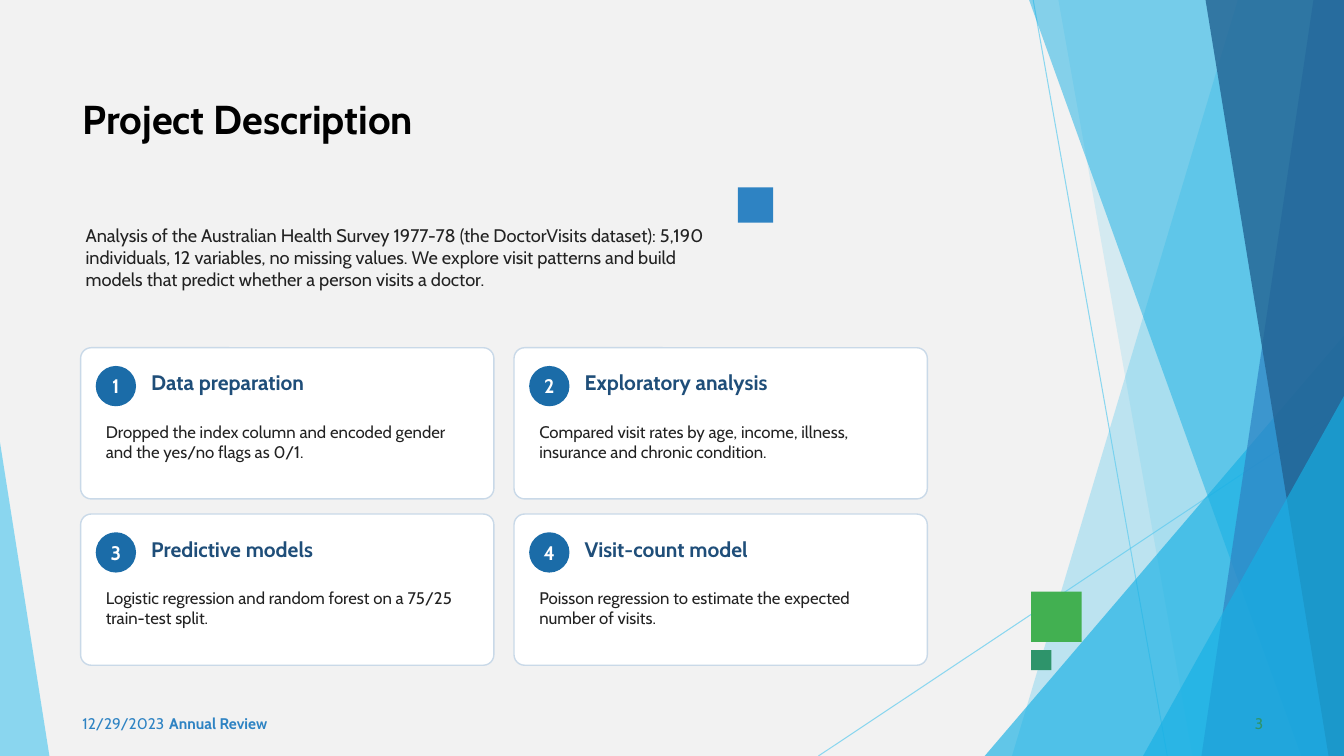
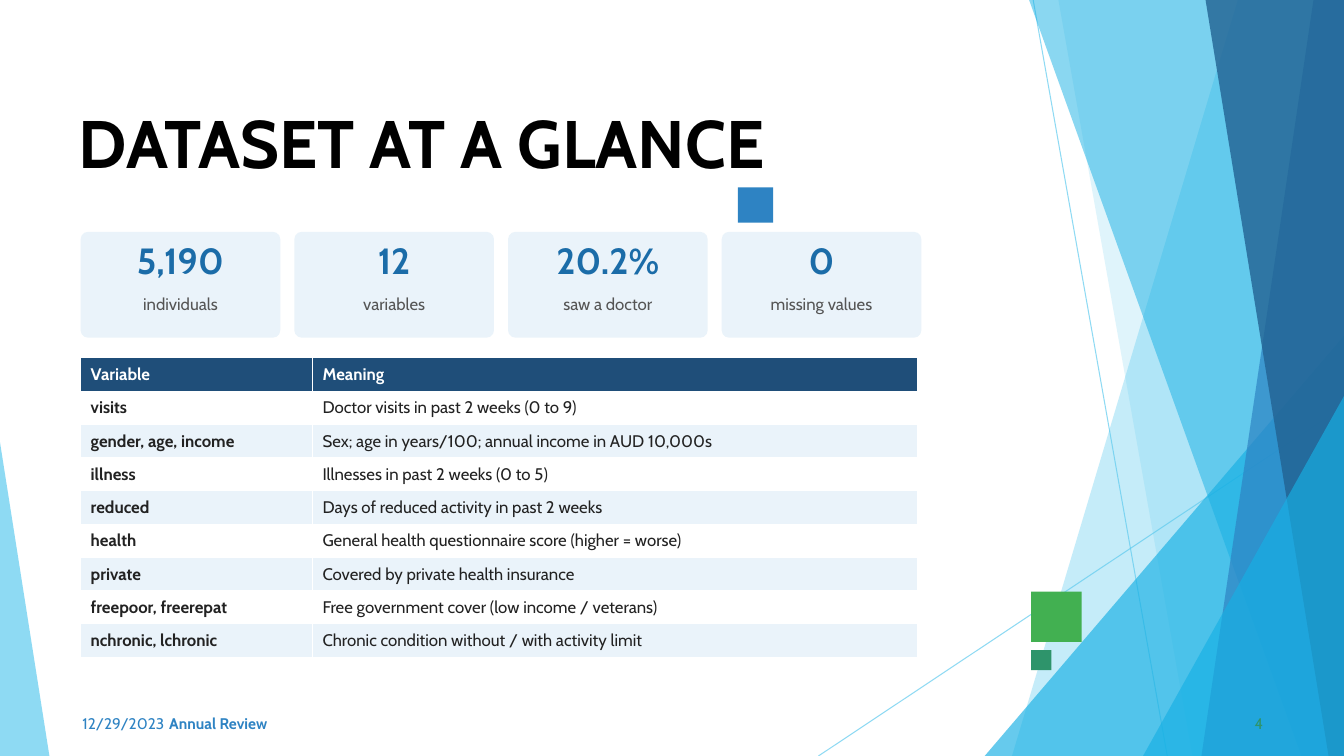
from pptx import Presentation
from pptx.dml.color import RGBColor
from pptx.enum.shapes import MSO_CONNECTOR, MSO_SHAPE
from pptx.enum.text import MSO_ANCHOR, MSO_AUTO_SIZE, PP_ALIGN
from pptx.oxml.ns import qn
from pptx.util import Pt

W, H = 960, 540
FONT = "Cabin"
SKY, CYAN, BLUE, DEEP = "5FCBEF", "17B0E4", "2E83C3", "226292"
GREEN, TEAL = "42B051", "2E946B"
NAVY, ACCENT, PALE, EDGE = "1F4E79", "1B6CA8", "EAF3FA", "C9D9E8"
WHITE, BLACK, INK, GREY = "FFFFFF", "000000", "222222", "555555"
TIGHT = (3.6, 2.16)
LEFT = 57.6

# x1, y1, x2, y2
RAYS = [(738, 0, 833.8, H), (W, 290.2, 584.6, H)]
# Bands run from the top edge to the bottom edge; peaks rise to the right edge.
FACETS = [
    ("band", 884.2, 722.9, SKY, 36),
    ("band", 756, 851.8, SKY, 20),
    ("peak", 703.4, 239.8, CYAN, 66),
    ("band", 735.1, 929.5, CYAN, 50),
    ("band", 938.2, 858.2, BLUE, 70),
    ("band", 861.1, 949, DEEP, 80),
    ("peak", 816.5, 283, CYAN, 66),
]
# x, y, side, colour
SQUARES = [(736.6, 422.6, 36, GREEN), (527, 133.9, 25.2, BLUE), (736.6, 464.4, 14.4, TEAL)]
DATE, FOOTER = "12/29/2023", "Annual Review"

INTRO = ("Analysis of the Australian Health Survey 1977-78 (the DoctorVisits dataset): 5,190 "
         "individuals, 12 variables, no missing values. We explore visit patterns and build "
         "models that predict whether a person visits a doctor.")
STEPS = [
    ("Data preparation", "Dropped the index column and encoded gender and the yes/no flags as 0/1."),
    ("Exploratory analysis",
     "Compared visit rates by age, income, illness, insurance and chronic condition."),
    ("Predictive models", "Logistic regression and random forest on a 75/25 train-test split."),
    ("Visit-count model", "Poisson regression to estimate the expected number of visits."),
]
STATS = [("5,190", "individuals"), ("12", "variables"),
         ("20.2%", "saw a doctor"), ("0", "missing values")]
VARIABLES = [
    ("Variable", "Meaning"),
    ("visits", "Doctor visits in past 2 weeks (0 to 9)"),
    ("gender, age, income", "Sex; age in years/100; annual income in AUD 10,000s"),
    ("illness", "Illnesses in past 2 weeks (0 to 5)"),
    ("reduced", "Days of reduced activity in past 2 weeks"),
    ("health", "General health questionnaire score (higher = worse)"),
    ("private", "Covered by private health insurance"),
    ("freepoor, freerepat", "Free government cover (low income / veterans)"),
    ("nchronic, lchronic", "Chronic condition without / with activity limit"),
]


def rgb(color):
    return RGBColor.from_string(color)


def set_alpha(shape, percent):
    for clr in shape._element.spPr.iter(qn("a:srgbClr")):
        alpha = clr.makeelement(qn("a:alpha"), {"val": str(percent * 1000)})
        clr.append(alpha)


def paint(shape, fill, line=None, alpha=None):
    shape.shadow.inherit = False
    shape.fill.solid()
    shape.fill.fore_color.rgb = rgb(fill)
    if line:
        shape.line.color.rgb = rgb(line)
        shape.line.width = Pt(1)
    else:
        shape.line.fill.background()
    if alpha:
        set_alpha(shape, alpha)
    return shape


def add_shape(s, kind, x, y, w, h, fill, line=None, alpha=None, adj=None):
    shape = s.shapes.add_shape(kind, Pt(x), Pt(y), Pt(w), Pt(h))
    if adj is not None:
        shape.adjustments[0] = adj
    return paint(shape, fill, line, alpha)


def write(tf, text, size, color, bold=False, align=PP_ALIGN.LEFT,
          anchor=MSO_ANCHOR.TOP, inset=(7.2, 3.6)):
    tf.text = text
    tf.vertical_anchor = anchor
    tf.margin_left = tf.margin_right = Pt(inset[0])
    tf.margin_top = tf.margin_bottom = Pt(inset[1])
    p = tf.paragraphs[0]
    p.alignment = align
    font = p.runs[0].font
    font.name, font.size, font.bold = FONT, Pt(size), bold
    font.color.rgb = rgb(color)


def add_text(s, x, y, w, h, text, size, color, **style):
    tf = s.shapes.add_textbox(Pt(x), Pt(y), Pt(w), Pt(h)).text_frame
    tf.word_wrap = True
    write(tf, text, size, color, **style)


def add_band(s, top_x, bottom_x, color, alpha):
    builder = s.shapes.build_freeform(Pt(top_x), 0)
    builder.add_line_segments([(Pt(W), 0), (Pt(W), Pt(H)), (Pt(bottom_x), Pt(H))])
    paint(builder.convert_to_shape(), color, alpha=alpha)


def decorate(s):
    for x1, y1, x2, y2 in RAYS:
        ray = s.shapes.add_connector(MSO_CONNECTOR.STRAIGHT, Pt(x1), Pt(y1), Pt(x2), Pt(y2))
        ray.line.color.rgb = rgb(SKY)
        ray.line.width = Pt(0.75)
        set_alpha(ray, 70)
        sppr = ray._element.spPr
        sppr.append(sppr.makeelement(qn("a:effectLst"), {}))
    for kind, a, b, color, alpha in FACETS:
        if kind == "band":
            add_band(s, a, b, color, alpha)
        else:
            add_shape(s, MSO_SHAPE.ISOSCELES_TRIANGLE, a, b, W - a, H - b, color,
                      alpha=alpha, adj=1)
    add_shape(s, MSO_SHAPE.ISOSCELES_TRIANGLE, 0, 316, 35.3, H - 316, SKY, alpha=70, adj=0)
    for x, y, side, color in SQUARES:
        add_shape(s, MSO_SHAPE.RECTANGLE, x, y, side, side, color)


def new_slide(prs, background, title, box, size, number):
    """Add a slide with the shared artwork, footer and a title in box (x, y, w, h)."""
    s = prs.slides.add_slide(prs.slide_layouts[5])
    s.background.fill.solid()
    s.background.fill.fore_color.rgb = rgb(background)
    decorate(s)
    y, h, middle = 502.6, 28.8, MSO_ANCHOR.MIDDLE
    add_text(s, 51.8, y, 216, h, DATE, 11, BLUE, anchor=middle)
    add_text(s, 113.8, y, 324, h, FOOTER, 11, BLUE, bold=True, anchor=middle)
    add_text(s, 693.4, y, 216, h, str(number), 11, TEAL, align=PP_ALIGN.RIGHT, anchor=middle)
    ph = s.shapes.title
    ph.left, ph.top, ph.width, ph.height = (Pt(v) for v in box)
    ph.text_frame.auto_size = MSO_AUTO_SIZE.NONE
    write(ph.text_frame, title, size, BLACK, bold=True)
    return s


def add_steps(s):
    w, h, gap_x, gap_y = 295.2, 108, 14.4, 10.8
    for i, (heading, body) in enumerate(STEPS):
        row, col = divmod(i, 2)
        x, y = LEFT + col * (w + gap_x), 248.4 + row * (h + gap_y)
        add_shape(s, MSO_SHAPE.ROUNDED_RECTANGLE, x, y, w, h, WHITE, EDGE, adj=0.07)
        badge = add_shape(s, MSO_SHAPE.OVAL, x + 10.8, y + 13, 28.8, 28.8, ACCENT)
        write(badge.text_frame, str(i + 1), 14, WHITE, bold=True, align=PP_ALIGN.CENTER,
              anchor=MSO_ANCHOR.MIDDLE, inset=(0, 0))
        add_text(s, x + 46.8, y + 8.6, 241.2, 32.4, heading, 15, NAVY, bold=True,
                 anchor=MSO_ANCHOR.MIDDLE, inset=TIGHT)
        add_text(s, x + 14.4, y + 50.4, 270, 57.6, body, 12, INK, inset=TIGHT)


def add_stats(s):
    y, w, gap = 165.6, 142.6, 10.04
    for i, (value, label) in enumerate(STATS):
        x = LEFT + i * (w + gap)
        add_shape(s, MSO_SHAPE.ROUNDED_RECTANGLE, x, y, w, 75.6, PALE, adj=0.07)
        add_text(s, x, y + 2.2, w, 43.2, value, 26, ACCENT, bold=True,
                 align=PP_ALIGN.CENTER, inset=TIGHT)
        add_text(s, x, y + 41.8, w, 28.8, label, 12, GREY, align=PP_ALIGN.CENTER, inset=TIGHT)


def add_variables(s):
    widths, row_h = (165.6, 432), 23.76
    table = s.shapes.add_table(len(VARIABLES), len(widths), Pt(LEFT), Pt(255.6),
                               Pt(sum(widths)), Pt(row_h * len(VARIABLES))).table
    for col, w in zip(table.columns, widths):
        col.width = Pt(w)
    for i, values in enumerate(VARIABLES):
        table.rows[i].height = Pt(row_h)
        fill = NAVY if i == 0 else (WHITE if i % 2 else PALE)
        for j, value in enumerate(values):
            cell = table.cell(i, j)
            cell.fill.solid()
            cell.fill.fore_color.rgb = rgb(fill)
            cell.vertical_anchor = MSO_ANCHOR.MIDDLE
            cell.margin_left = cell.margin_right = Pt(7.2)
            cell.margin_top = cell.margin_bottom = Pt(2.16)
            cell.text = value
            font = cell.text_frame.paragraphs[0].runs[0].font
            font.name, font.size, font.bold = FONT, Pt(12), i == 0 or j == 0
            font.color.rgb = rgb(INK if i else WHITE)


def main():
    prs = Presentation()
    prs.slide_width, prs.slide_height = Pt(W), Pt(H)

    s = new_slide(prs, "F2F2F2", "Project Description", (51.8, 63.4, 604.8, 65.5), 28.8, 3)
    add_text(s, LEFT, 158.4, 460.8, 79.2, INTRO, 13, INK, inset=TIGHT)
    add_steps(s)

    s = new_slide(prs, WHITE, "DATASET AT A GLANCE", (49, 69.1, 604.8, 63.4), 48, 4)
    add_stats(s)
    add_variables(s)

    prs.save("out.pptx")


if __name__ == "__main__":
    main()
